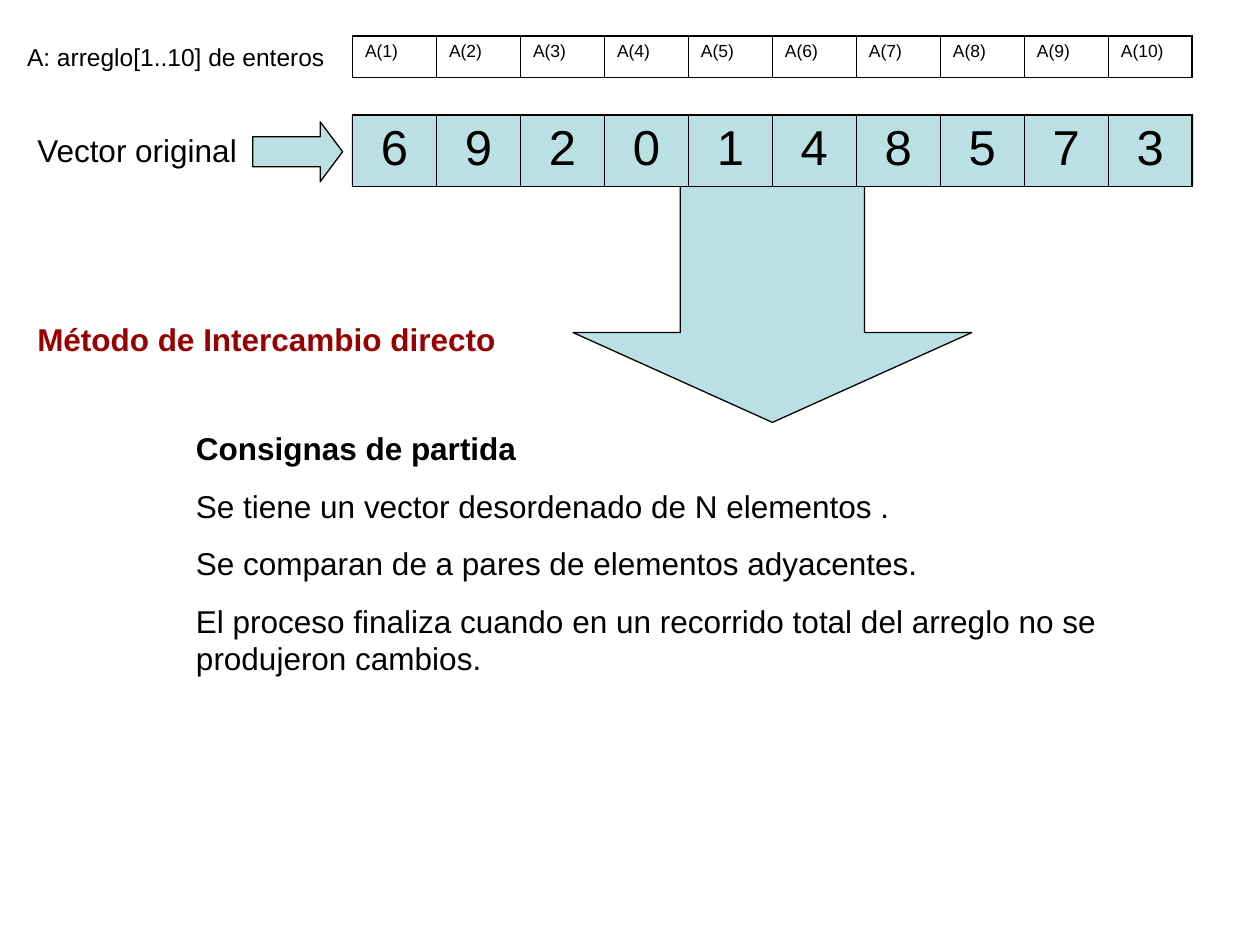
from dataclasses import dataclass

from lxml.etree import SubElement
from pptx import Presentation
from pptx.dml.color import RGBColor
from pptx.enum.shapes import MSO_SHAPE as Shape
from pptx.enum.text import MSO_AUTO_SIZE as AutoSize, PP_ALIGN as Align
from pptx.oxml.ns import qn
from pptx.util import Pt


@dataclass(frozen=True)
class Theme:
    font: str = "Arial"
    ink: RGBColor = RGBColor(0, 0, 0)
    accent: RGBColor = RGBColor(0x99, 0, 0)
    pale: RGBColor = RGBColor(0xBB, 0xE0, 0xE3)
    index: float = 10
    small: float = 14
    body: float = 18
    digit: float = 28
    outline: float = 0.75
    outer: float = 1.08
    inner: float = 0.45
    gap: float = 11.2


THEME = Theme()
VALUES = [6, 9, 2, 0, 1, 4, 8, 5, 7, 3]
GUIDELINES = [
    "Se tiene un vector desordenado de N elementos .",
    "Se comparan de a pares de elementos adyacentes.",
    "El proceso finaliza cuando en un recorrido total del arreglo no se produjeron cambios.",
]


def add_run(p, text, size, color=THEME.ink, bold=False):
    r = p.add_run()
    r.text = text
    r.font.name = THEME.font
    r.font.size = Pt(size)
    r.font.bold = bold
    r.font.color.rgb = color


def add_text(s, box, lines, size):
    """Place one paragraph per (text, color, bold) line."""
    tf = s.shapes.add_textbox(*map(Pt, box)).text_frame
    tf.word_wrap = True
    tf.auto_size = AutoSize.SHAPE_TO_FIT_TEXT
    for i, (text, color, bold) in enumerate(lines):
        p = tf.add_paragraph() if i else tf.paragraphs[0]
        if i:
            p.space_before = Pt(THEME.gap)
        add_run(p, text, size, color, bold)


def add_arrow(s, kind, box, adjustments):
    sp = s.shapes.add_shape(kind, *map(Pt, box))
    sp.shadow.inherit = False
    sp.fill.solid()
    sp.fill.fore_color.rgb = THEME.pale
    sp.line.color.rgb = THEME.ink
    sp.line.width = Pt(THEME.outline)
    for i, value in enumerate(adjustments):
        sp.adjustments[i] = value


def add_border(cell, side, width):
    ln = SubElement(cell._tc.get_or_add_tcPr(), qn(f"a:ln{side}"), w=str(Pt(width)))
    fill = SubElement(ln, qn("a:solidFill"))
    SubElement(fill, qn("a:srgbClr"), val=str(THEME.ink))


def add_vector(s, box, texts, size, align, fill=None):
    """Place a one-row table with a heavier outer frame."""
    left, top, width, height = box
    table = s.shapes.add_table(1, len(texts), *map(Pt, box)).table
    table.first_row = table.horz_banding = False
    table.rows[0].height = Pt(height)
    last = len(texts) - 1
    for i, text in enumerate(texts):
        table.columns[i].width = Pt(width / len(texts))
        cell = table.cell(0, i)
        add_border(cell, "L", THEME.inner if i else THEME.outer)
        add_border(cell, "R", THEME.inner if i < last else THEME.outer)
        add_border(cell, "T", THEME.outer)
        add_border(cell, "B", THEME.outer)
        if fill is None:
            cell.fill.background()
        else:
            cell.fill.solid()
            cell.fill.fore_color.rgb = fill
        p = cell.text_frame.paragraphs[0]
        p.alignment = align
        add_run(p, text, size)


def add_original_vector(s, box):
    """Callout, label, pointer and values; the box covers the callout."""
    left, top, width, _ = box
    add_arrow(s, Shape.DOWN_ARROW_CALLOUT, box, [0.599, 0.648, 0.292, 0.229])
    add_text(s, (left - 187.2, top + 5.8, 130.3, 28.8),
             [("Vector original", THEME.ink, False)], THEME.body)
    add_arrow(s, Shape.RIGHT_ARROW, (left - 57, top + 4, 51.4, 34.2), [0.5, 0.374])
    add_vector(s, (left, top, width, 41), [str(v) for v in VALUES],
               THEME.digit, Align.CENTER, THEME.pale)


def add_declaration(s, box):
    """Array declaration on the left of its index row."""
    left, top, width, height = box
    add_vector(s, box, [f"A({i})" for i in range(1, len(VALUES) + 1)],
               THEME.index, Align.LEFT)
    add_text(s, (left - 193, top, 187.2, height),
             [("A: arreglo[1..10] de enteros", THEME.ink, False)], THEME.small)


def add_method(s, box):
    add_text(s, box, [("Método de Intercambio directo", THEME.accent, True)], THEME.body)


def add_guidelines(s, box):
    lines = [("Consignas de partida", THEME.ink, True)]
    lines += [(text, THEME.ink, False) for text in GUIDELINES]
    add_text(s, box, lines, THEME.body)


def main():
    prs = Presentation()
    prs.slide_width, prs.slide_height = Pt(720), Pt(540)
    s = prs.slides.add_slide(prs.slide_layouts[6])
    add_original_vector(s, (201.4, 65.6, 480, 175.8))
    add_declaration(s, (201.4, 20.4, 480, 23.8))
    add_method(s, (14.2, 179.3, 300, 28.8))
    add_guidelines(s, (104.9, 241.9, 589.7, 149))
    prs.save("out.pptx")


if __name__ == "__main__":
    main()
